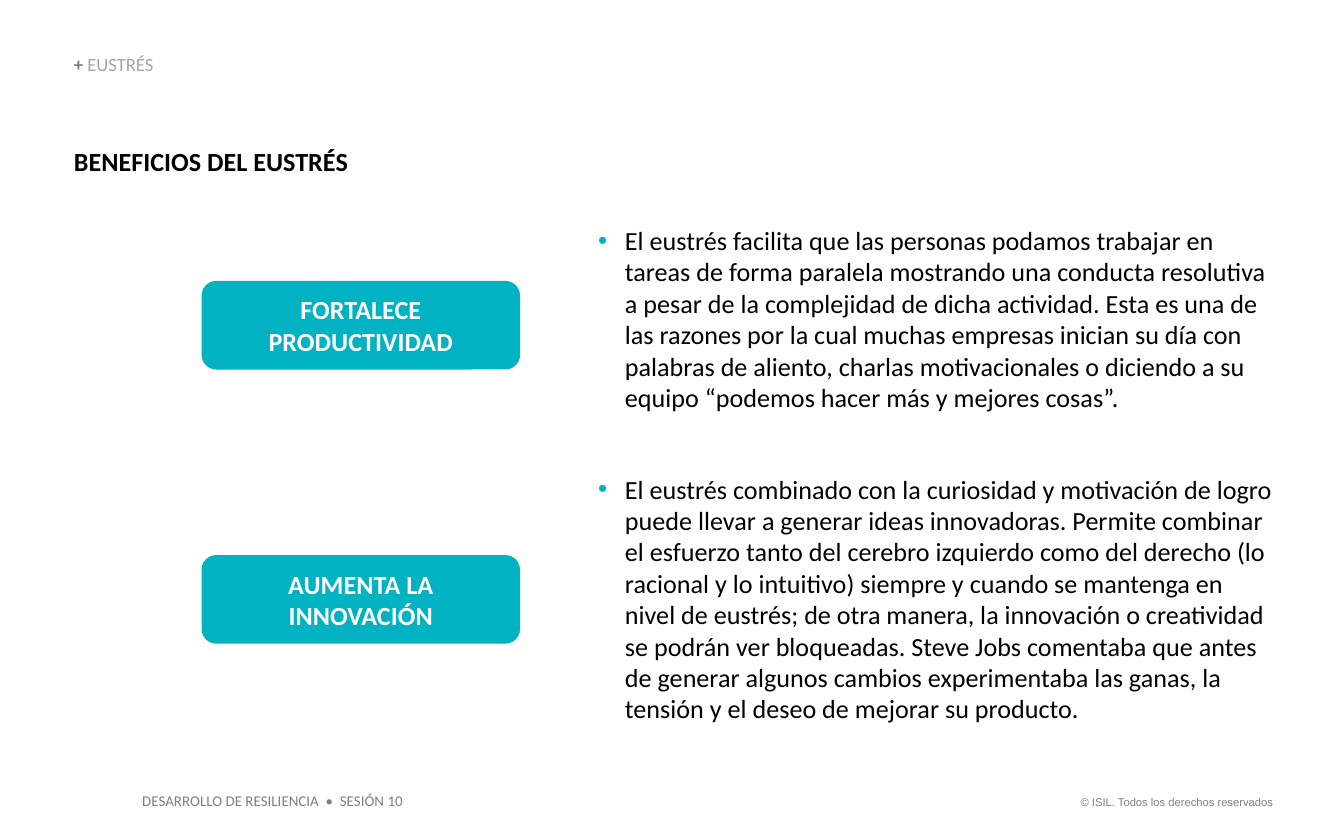
from dataclasses import dataclass

from lxml.etree import SubElement
from pptx import Presentation
from pptx.dml.color import RGBColor
from pptx.enum.shapes import MSO_SHAPE
from pptx.enum.text import MSO_ANCHOR, MSO_AUTO_SIZE, PP_ALIGN
from pptx.oxml.ns import qn
from pptx.util import Inches, Pt

COLORS = {
    "teal": "00B2C2",
    "black": "000000",
    "white": "FFFFFF",
    "gray": "7F7F7F",
    "light_gray": "A5A5A5",
}
GRID_STEP = 0.1
LEFT_COLUMN = 5.5
INDENT = 2


@dataclass(frozen=True)
class Area:
    column: float
    row: float
    columns: float
    rows: float

    def lengths(self) -> list[int]:
        cells = (self.column, self.row, self.columns, self.rows)
        return [Inches(cell * GRID_STEP) for cell in cells]


@dataclass(frozen=True)
class TextStyle:
    size: float
    color: str
    bold: bool = False
    name: str = "Calibri"


@dataclass(frozen=True)
class Benefit:
    label: str
    label_row: float
    description: str
    description_row: float
    description_rows: float


HEADING = TextStyle(14, "black", True)
LABEL = TextStyle(14, "white", True)
BODY = TextStyle(14, "black")
FOOTER = TextStyle(8, "gray")
COPYRIGHT = TextStyle(6, "gray", name="Arial")

BENEFITS = [
    Benefit(
        "FORTALECE PRODUCTIVIDAD",
        20.9,
        "El eustrés facilita que las personas podamos trabajar en tareas de forma "
        "paralela mostrando una conducta resolutiva a pesar de la complejidad de "
        "dicha actividad. Esta es una de las razones por la cual muchas empresas "
        "inician su día con palabras de aliento, charlas motivacionales o diciendo "
        "a su equipo “podemos hacer más y mejores cosas”.",
        16.7,
        14.1,
    ),
    Benefit(
        "AUMENTA LA INNOVACIÓN",
        41.3,
        "El eustrés combinado con la curiosidad y motivación de logro puede llevar "
        "a generar ideas innovadoras. Permite combinar el esfuerzo tanto del cerebro "
        "izquierdo como del derecho (lo racional y lo intuitivo) siempre y cuando se "
        "mantenga en nivel de eustrés; de otra manera, la innovación o creatividad "
        "se podrán ver bloqueadas. Steve Jobs comentaba que antes de generar algunos "
        "cambios experimentaba las ganas, la tensión y el deseo de mejorar su producto.",
        35.2,
        18.9,
    ),
]


def place(shape, area: Area) -> None:
    for side, length in zip(("left", "top", "width", "height"), area.lengths()):
        setattr(shape, side, length)


def write(shape, runs: list[tuple[str, TextStyle]], padded: bool = False,
          anchor=MSO_ANCHOR.TOP, alignment=PP_ALIGN.LEFT, line_spacing: float = 1.0):
    horizontal, vertical = (Inches(0.1), Inches(0.05)) if padded else (0, 0)
    frame_format = {
        "margin_left": horizontal,
        "margin_right": horizontal,
        "margin_top": vertical,
        "margin_bottom": vertical,
        "word_wrap": True,
        "auto_size": MSO_AUTO_SIZE.NONE,
        "vertical_anchor": anchor,
    }
    for attribute, value in frame_format.items():
        setattr(shape.text_frame, attribute, value)
    paragraph = shape.text_frame.paragraphs[0]
    paragraph_format = {
        "alignment": alignment,
        "line_spacing": line_spacing,
        "space_before": Pt(0),
        "space_after": Pt(0),
    }
    for attribute, value in paragraph_format.items():
        setattr(paragraph, attribute, value)
    for text, style in runs:
        run = paragraph.add_run()
        run.text = text
        font_format = {"name": style.name, "size": Pt(style.size), "bold": style.bold}
        for attribute, value in font_format.items():
            setattr(run.font, attribute, value)
        run.font.color.rgb = RGBColor.from_string(COLORS[style.color])
    return paragraph


def add_bullet(paragraph, color: str) -> None:
    properties = paragraph._p.get_or_add_pPr()
    indent = Inches(INDENT * GRID_STEP)
    properties.set("marL", str(indent))
    properties.set("indent", str(-indent))
    bullet_color = SubElement(properties, qn("a:buClr"))
    SubElement(bullet_color, qn("a:srgbClr"), val=COLORS[color])
    SubElement(properties, qn("a:buFont"), typeface="Arial")
    SubElement(properties, qn("a:buChar"), char="•")


def add_text(slide, area: Area, runs: list[tuple[str, TextStyle]], **layout) -> None:
    write(slide.shapes.add_textbox(*area.lengths()), runs, **layout)


def add_label(slide, text: str, area: Area) -> None:
    shape = slide.shapes.add_shape(MSO_SHAPE.ROUNDED_RECTANGLE, *area.lengths())
    shape.shadow.inherit = False
    shape.fill.solid()
    shape.fill.fore_color.rgb = RGBColor.from_string(COLORS["teal"])
    shape.line.fill.background()
    write(shape, [(text, LABEL)], padded=True, anchor=MSO_ANCHOR.MIDDLE,
          alignment=PP_ALIGN.CENTER)


def add_benefit(slide, benefit: Benefit, placeholder) -> None:
    add_label(slide, benefit.label, Area(15, benefit.label_row, 23.7, 6.6))
    place(placeholder, Area(44.5, benefit.description_row, 50.4, benefit.description_rows))
    add_bullet(write(placeholder, [(benefit.description, BODY)]), "teal")


def main() -> None:
    presentation = Presentation()
    presentation.slide_width = Inches(10)
    presentation.slide_height = Inches(6.25)
    two_content_layout = presentation.slide_layouts[3]
    slide = presentation.slides.add_slide(two_content_layout)
    title, *bodies = slide.placeholders

    add_text(slide, Area(78.8, 58.7, 16.9, 2),
             [("© ISIL. Todos los derechos reservados", COPYRIGHT)],
             padded=True, alignment=PP_ALIGN.RIGHT)
    add_text(slide, Area(9.6, 58.4, 22, 2.4),
             [("DESARROLLO DE RESILIENCIA\u00a0 •\u00a0 SESIÓN 10".replace("\u00a0", " "), FOOTER)],
             padded=True)
    add_text(slide, Area(LEFT_COLUMN, 4.1, 33.2, 1.5),
             [("+ ", TextStyle(10, "gray", True)), ("EUSTRÉS", TextStyle(10, "light_gray"))],
             anchor=MSO_ANCHOR.BOTTOM, line_spacing=0.9)

    place(title, Area(LEFT_COLUMN, 10.8, 81.2, 2.4))
    write(title, [("BENEFICIOS DEL EUSTRÉS", HEADING)])
    for benefit, body in zip(BENEFITS, bodies):
        add_benefit(slide, benefit, body)

    presentation.save("out.pptx")


if __name__ == "__main__":
    main()
